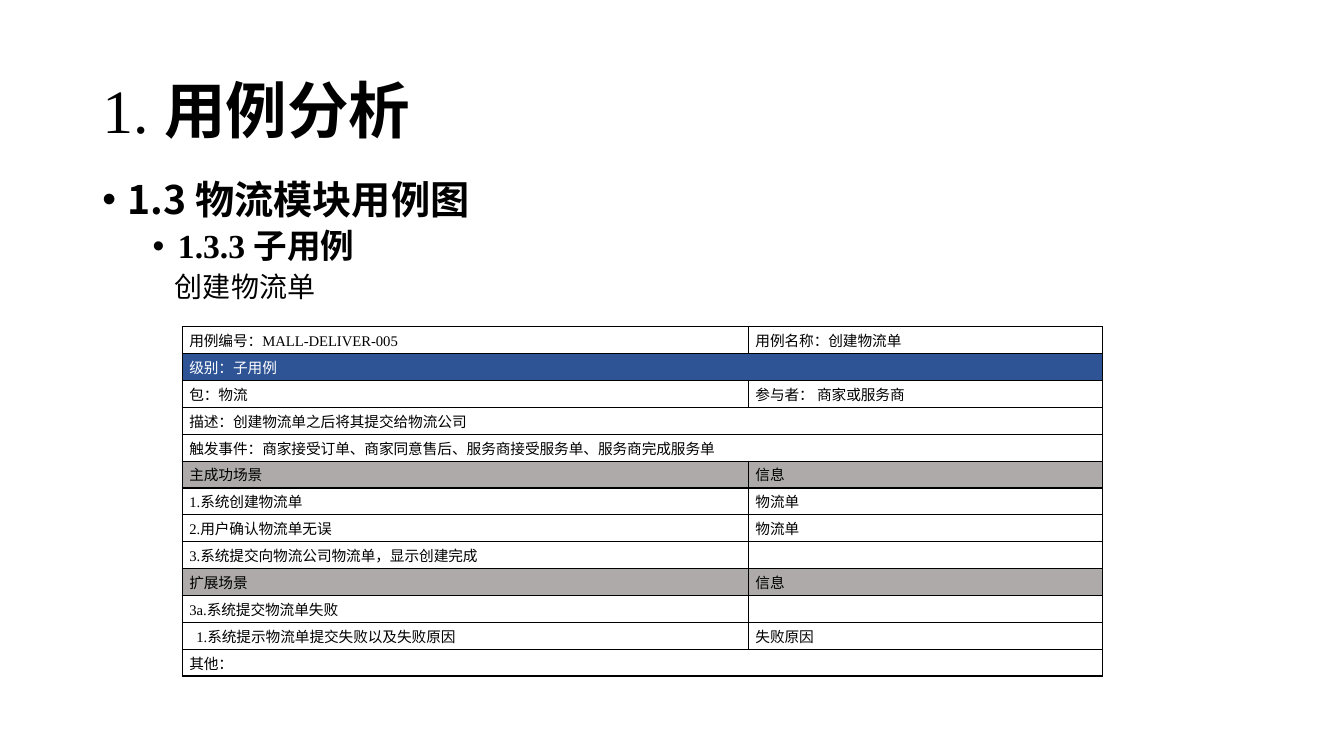
from lxml.etree import SubElement
from pptx import Presentation
from pptx.dml.color import RGBColor
from pptx.enum.text import MSO_ANCHOR, PP_ALIGN
from pptx.oxml.ns import qn
from pptx.util import Inches, Pt

COLORS = {"black": "000000", "white": "FFFFFF", "blue": "2F5496", "gray": "AEAAAA"}
LATIN, CHINESE = "Times New Roman", "Noto Sans CJK SC"
GRID_COLUMNS, GRID_ROWS = 160, 90
TABLE_SIZE = 10.5

# Each row: fill, then one text for a merged row or two for a split row
USE_CASE_ROWS = [
    ("white", "用例编号：MALL-DELIVER-005", "用例名称：创建物流单"),
    ("blue", "级别：子用例"),
    ("white", "包：物流", "参与者： 商家或服务商"),
    ("white", "描述：创建物流单之后将其提交给物流公司"),
    ("white", "触发事件：商家接受订单、商家同意售后、服务商接受服务单、服务商完成服务单"),
    ("gray", "主成功场景", "信息"),
    ("white", "1.系统创建物流单", "物流单"),
    ("white", "2.用户确认物流单无误", "物流单"),
    ("white", "3.系统提交向物流公司物流单，显示创建完成", ""),
    ("gray", "扩展场景", "信息"),
    ("white", "3a.系统提交物流单失败", ""),
    ("white", "1.系统提示物流单提交失败以及失败原因", "失败原因"),
    ("white", "其他："),
]
INDENTED_STEP = "1.系统提示物流单提交失败以及失败原因"


class SlideBuilder:
    """Places elements on the current slide, measured in grid columns and rows."""

    def __init__(self, deck):
        self.column = deck.slide_width / GRID_COLUMNS
        self.row = deck.slide_height / GRID_ROWS
        self.slide = deck.slides.add_slide(deck.slide_layouts[6])

    def place(self, left, top, width, height):
        return (round(left * self.column), round(top * self.row),
                round(width * self.column), round(height * self.row))

    def style(self, span, size, bold=False, color="black", font=LATIN):
        span.font.size = Pt(size)
        span.font.bold = bold
        span.font.name = font
        span.font.color.rgb = RGBColor.from_string(COLORS[color])
        SubElement(span._r.get_or_add_rPr(), qn("a:ea"), typeface=CHINESE)

    def text_box(self, area, anchor=MSO_ANCHOR.TOP):
        frame = self.slide.shapes.add_textbox(*self.place(*area)).text_frame
        frame.word_wrap = True
        frame.vertical_anchor = anchor
        return frame

    def title(self, area, number, heading):
        para = self.text_box(area, MSO_ANCHOR.MIDDLE).paragraphs[0]
        para.line_spacing = 0.9
        for text, bold in ((number, False), (heading, True)):
            span = para.add_run()
            span.text = text
            self.style(span, 44, bold)

    def outline(self, area, items):
        frame = self.text_box(area)
        frame.text = "\n".join(item[0] for item in items)
        for index, (para, item) in enumerate(zip(frame.paragraphs, items)):
            text, indent, bullet, size, bold, font = item
            properties = para._p.get_or_add_pPr()
            properties.set("marL", str(Inches(indent)))
            properties.set("indent", str(Inches(-0.25 if bullet else 0)))
            if bullet:
                SubElement(properties, qn("a:buFont"), typeface="Arial")
                SubElement(properties, qn("a:buChar"), char="•")
            else:
                SubElement(properties, qn("a:buNone"))
            para.line_spacing = 0.9
            if index:
                para.space_before = Pt(5)
            self.style(para.runs[0], size, bold, font=font)

    def border(self, cell):
        properties = cell._tc.get_or_add_tcPr()
        for position, side in enumerate(("lnL", "lnR", "lnT", "lnB")):
            line = SubElement(properties, qn(f"a:{side}"), w=str(Pt(1)))
            fill = SubElement(line, qn("a:solidFill"))
            SubElement(fill, qn("a:srgbClr"), val=COLORS["black"])
            properties.insert(position, line)

    def fill_cell(self, cell, text, fill):
        cell.fill.solid()
        cell.fill.fore_color.rgb = RGBColor.from_string(COLORS[fill])
        self.border(cell)
        cell.vertical_anchor = MSO_ANCHOR.MIDDLE
        cell.margin_left = Inches(0.14 if text == INDENTED_STEP else 0.07)
        cell.margin_right = Inches(0.07)
        cell.margin_top = cell.margin_bottom = 0
        cell.text_frame.text = text
        para = cell.text_frame.paragraphs[0]
        para.alignment = PP_ALIGN.JUSTIFY
        for span in para.runs:
            self.style(span, TABLE_SIZE, color="white" if fill == "blue" else "black")
        # Keeps empty cells from growing to the default text size
        SubElement(para._p, qn("a:endParaRPr"), sz=str(round(TABLE_SIZE * 100)))

    def table(self, left, top, widths, row_height, rows):
        area = self.place(left, top, sum(widths), row_height * len(rows))
        table = self.slide.shapes.add_table(len(rows), len(widths), *area).table
        table.first_row = table.horz_banding = False
        for column, width in zip(table.columns, widths):
            column.width = round(width * self.column)
        for index, (fill, *texts) in enumerate(rows):
            table.rows[index].height = round(row_height * self.row)
            first, last = table.cell(index, 0), table.cell(index, 1)
            if len(texts) == 1:
                first.merge(last)
                texts.append("")
            for cell, text in zip((first, last), texts):
                self.fill_cell(cell, text, fill)


def main():
    deck = Presentation()
    deck.slide_width, deck.slide_height = Inches(13.33), Inches(7.5)
    builder = SlideBuilder(deck)
    builder.title((11, 4.8, 138, 17.4), "1. ", "用例分析")
    builder.outline((11, 20.9, 138, 57.1), [
        ("1.3 物流模块用例图", 0.25, True, 28, True, CHINESE),
        ("1.3.3 子用例", 0.75, True, 24, True, LATIN),
        ("创建物流单", 0.72, False, 20, False, LATIN),
    ])
    builder.table(21.7, 38.9, (67.4, 42.2), 3.2, USE_CASE_ROWS)
    deck.save("out.pptx")


if __name__ == "__main__":
    main()
